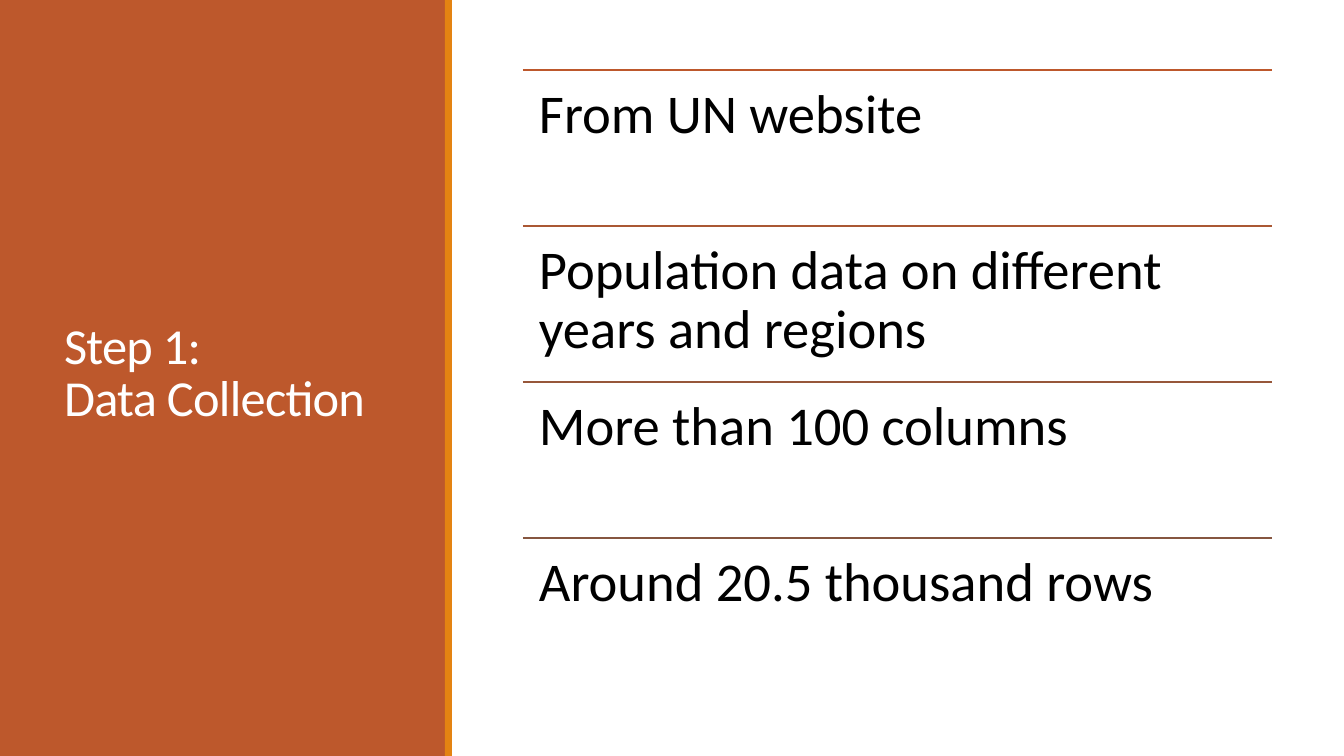
from lxml.etree import SubElement
from pptx import Presentation
from pptx.dml.color import RGBColor
from pptx.enum.shapes import MSO_CONNECTOR as CONNECTOR, MSO_SHAPE as SHAPE
from pptx.enum.text import MSO_ANCHOR as ANCHOR, MSO_AUTO_SIZE as AUTO_SIZE, PP_ALIGN as ALIGN
from pptx.oxml.ns import qn
from pptx.util import Emu, Pt

EMU_PER_PX = 914400 / 100.8
SLIDE_W, SLIDE_H = 1344, 756

WHITE = RGBColor(0xFF, 0xFF, 0xFF)
BLACK = RGBColor(0x00, 0x00, 0x00)
RUST = RGBColor(0xBD, 0x58, 0x2C)
ORANGE = RGBColor(0xE4, 0x83, 0x12)

# Each fact with the colour of the rule above it
FACTS = [
    ("From UN website", RUST),
    ("Population data on different years and regions", RGBColor(0xAA, 0x58, 0x34)),
    ("More than 100 columns", RGBColor(0x97, 0x57, 0x3A)),
    ("Around 20.5 thousand rows", RGBColor(0x86, 0x56, 0x40)),
]
FACT_LEFT, FACT_TOP, FACT_W, FACT_PITCH = 523, 70, 749, 156


def px(*lengths):
    return [Emu(round(length * EMU_PER_PX)) for length in lengths]


def set_all(target, values):
    for name, value in values.items():
        setattr(target, name, value)


def add_block(slide, box, color):
    block = slide.shapes.add_shape(SHAPE.RECTANGLE, *px(*box))
    block.shadow.inherit = False
    block.fill.solid()
    block.fill.fore_color.rgb = color
    block.line.fill.background()


def add_rule(slide, left, top, width, color):
    ends = px(left, top, left + width, top)
    rule = slide.shapes.add_connector(CONNECTOR.STRAIGHT, *ends)
    rule.line.color.rgb = color
    rule.line.width = Pt(1.25)
    SubElement(rule._element.spPr, qn("a:effectLst"))


def write(frame, text, size, color, spacing, anchor, inset):
    side, = px(inset)
    set_all(frame, {
        "word_wrap": True, "auto_size": AUTO_SIZE.NONE,
        "vertical_anchor": anchor, "margin_left": side, "margin_right": side,
    })
    frame.text = text
    paragraph = frame.paragraphs[0]
    set_all(paragraph, {"alignment": ALIGN.LEFT, "line_spacing": spacing})
    for run in paragraph.runs:
        set_all(run.font, {"name": "Calibri", "size": Pt(size)})
        run.font.color.rgb = color
    return paragraph


def place_title(slide, text, box):
    title = slide.shapes.title
    set_all(title, dict(zip(("left", "top", "width", "height"), px(*box))))
    paragraph = write(title.text_frame, text, 36, WHITE, 0.85, ANCHOR.MIDDLE, 10)
    for run in paragraph.runs:
        run.font._element.set("spc", "-50")
    # Bring the title in front of the panel
    slide.shapes._spTree.append(title._element)


def add_fact(slide, text, top, rule_color):
    add_rule(slide, FACT_LEFT, top, FACT_W, rule_color)
    fact = slide.shapes.add_textbox(*px(FACT_LEFT, top, FACT_W, FACT_PITCH))
    frame = fact.text_frame
    write(frame, text, 39, BLACK, 0.9, ANCHOR.TOP, 16)
    inset, = px(16)
    set_all(frame, {"margin_top": inset, "margin_bottom": inset})


def main():
    deck = Presentation()
    deck.slide_width, deck.slide_height = px(SLIDE_W, SLIDE_H)
    slide = deck.slides.add_slide(deck.slide_layouts[5])
    slide.background.fill.solid()
    slide.background.fill.fore_color.rgb = WHITE

    # Side panel with the step title
    add_block(slide, (0, 0, 446, SLIDE_H), RUST)
    place_title(slide, "Step 1:\vData Collection", (54, 57, 340, 636))
    add_block(slide, (445, 0, 7, SLIDE_H), ORANGE)

    # Facts about the data, one per ruled row
    for row, (text, rule_color) in enumerate(FACTS):
        add_fact(slide, text, FACT_TOP + row * FACT_PITCH, rule_color)

    deck.save("out.pptx")


main()
